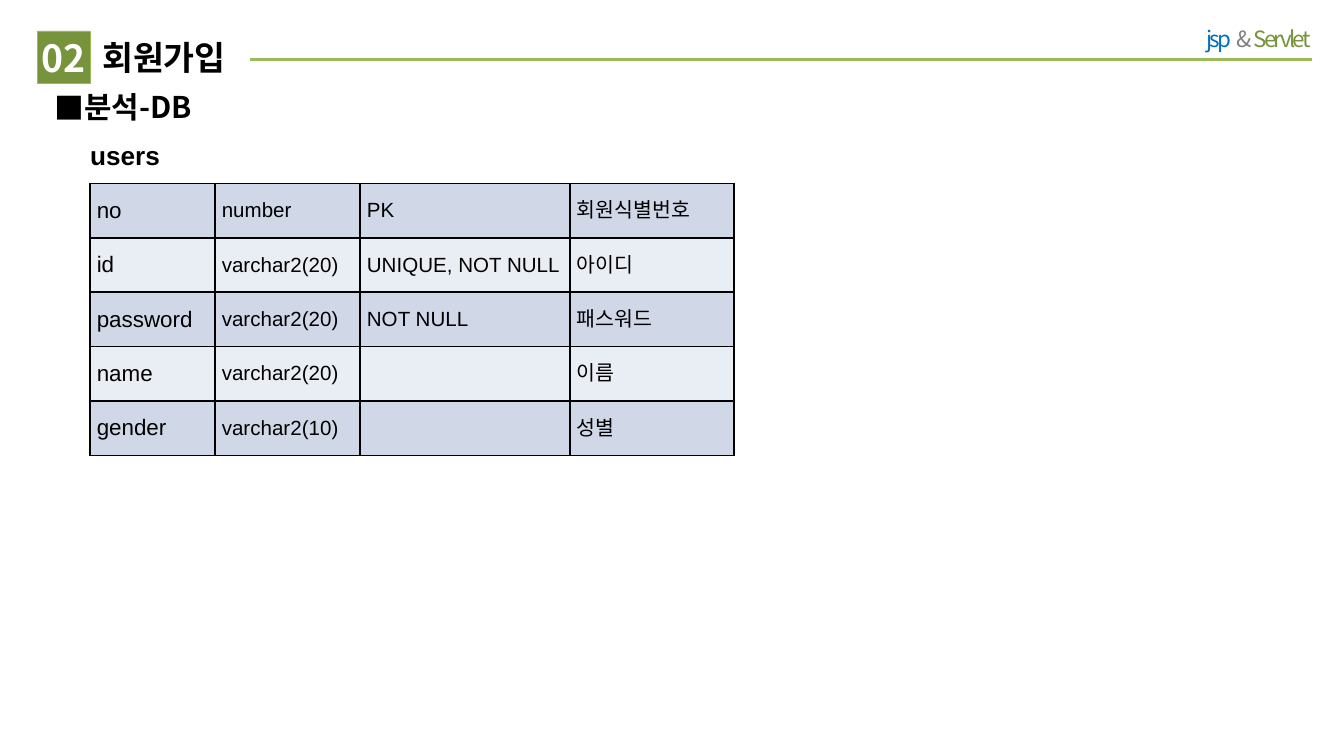
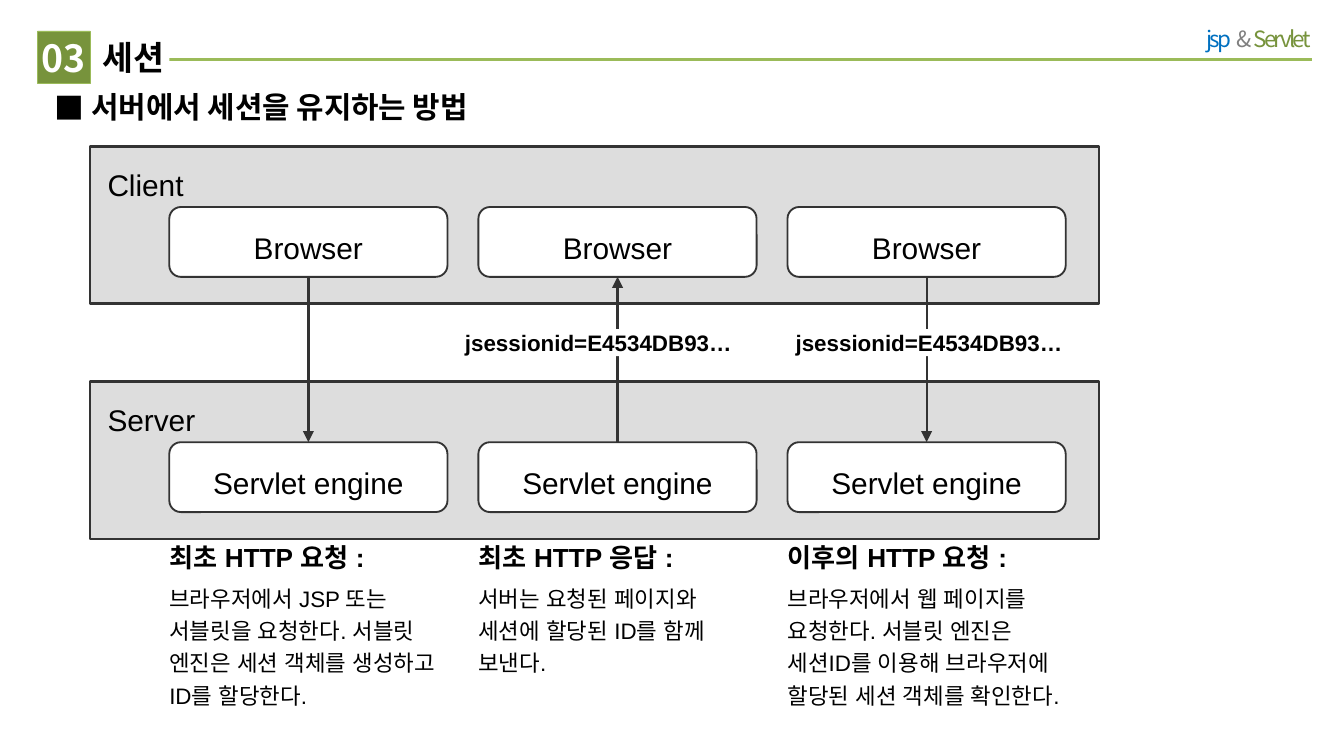
"""Builds two JSP and Servlet lesson slides: the users table and the session flow."""
from lxml import etree
from pptx import Presentation
from pptx.dml.color import RGBColor
from pptx.enum.shapes import MSO_CONNECTOR, MSO_SHAPE
from pptx.enum.text import MSO_ANCHOR, PP_ALIGN
from pptx.oxml.ns import qn
from pptx.util import Pt

PX = 9144
RECT, ROUNDED = MSO_SHAPE.RECTANGLE, MSO_SHAPE.ROUNDED_RECTANGLE
STRAIGHT = MSO_CONNECTOR.STRAIGHT
TOP, MIDDLE = MSO_ANCHOR.TOP, MSO_ANCHOR.MIDDLE
LEFT, CENTER, RIGHT = PP_ALIGN.LEFT, PP_ALIGN.CENTER, PP_ALIGN.RIGHT
ARIAL, NOTO = "Arial", "Noto Sans CJK KR"
COLORS = {
    "black": "000000", "white": "FFFFFF", "gray": "808080", "blue": "0070C0",
    "green": "77933C", "lime": "9BBB59", "panel": "DDDDDD", "ink": "333333",
    "band_dark": "D0D8E8", "band_light": "E9EDF4",
}
RGB = {key: RGBColor.from_string(value) for key, value in COLORS.items()}


def add_run(paragraph, text, size, font=ARIAL, color="black", bold=False):
    """Add text to a paragraph, with a line break at each newline."""
    for i, piece in enumerate(text.split("\n")):
        if i:
            paragraph.add_line_break()
        run = paragraph.add_run()
        run.text = piece
        run.font.size = Pt(size)
        run.font.bold = bold
        run.font.color.rgb = RGB[color]
        run.font.name = font
        etree.SubElement(run.font._element, qn("a:ea"), typeface=font)
    return run


def add_box(slide, at, kind=None, fill=None, line=None, weight=1,
            insets=(0, 0, 0, 0), anchor=TOP, align=LEFT):
    """Add a text box, or a preset shape if a kind is given."""
    place = [v * PX for v in at]
    if kind is None:
        box = slide.shapes.add_textbox(*place)
    else:
        box = slide.shapes.add_shape(kind, *place)
        box.shadow.inherit = False
        box.fill.solid()
        box.fill.fore_color.rgb = RGB[fill]
        if line:
            box.line.color.rgb = RGB[line]
            box.line.width = Pt(weight)
        else:
            box.line.fill.background()
    frame = box.text_frame
    frame.word_wrap = True
    frame.vertical_anchor = anchor
    frame.margin_left, frame.margin_top, frame.margin_right, frame.margin_bottom = [
        v * PX for v in insets]
    frame.paragraphs[0].alignment = align
    return box


prs = Presentation()
prs.slide_width = 1000 * PX
prs.slide_height = prs.slide_width * 9 // 16

headings = [
    ("02", "회원가입", 118, "분석-DB"),
    ("03", "세션", 58, " 서버에서 세션을 유지하는 방법"),
]
slides = []
for number, title, title_width, topic in headings:
    slide = prs.slides.add_slide(prs.slide_layouts[6])
    slides.append(slide)

    rule = slide.shapes.add_connector(STRAIGHT, 976 * PX, 44 * PX, 71 * PX, 44 * PX)
    rule.line.color.rgb = RGB["lime"]
    rule.line.width = Pt(1.5)
    etree.SubElement(rule._element.spPr, qn("a:effectLst"))

    course = add_box(slide, (831, 11, 154, 36), insets=(10, 8, 10, 8), align=RIGHT)
    for text, color, spacing in [("jsp", "blue", -150), (" ", "blue", 0),
                                 ("& ", "gray", -150), ("Servlet", "green", -150)]:
        run = add_run(course.text_frame.paragraphs[0], text, 12, NOTO, color)
        run.font._element.set("spc", str(spacing))

    badge = add_box(slide, (28, 23, 39, 39), RECT, "green", "lime", 0.25,
                    anchor=MIDDLE, align=CENTER)
    add_run(badge.text_frame.paragraphs[0], number, 20, NOTO, "white", True)

    name = add_box(slide, (68, 23, title_width, 39), RECT, "white",
                   insets=(8, 4, 0, 4), anchor=MIDDLE)
    name.text_frame.word_wrap = False
    add_run(name.text_frame.paragraphs[0], title, 18, NOTO, bold=True)

    bullet = add_box(slide, (31, 64, 862, 44), insets=(10, 2, 10, 5)).text_frame.paragraphs[0]
    add_run(bullet, topic, 16, NOTO, bold=True)
    layout = bullet._p.get_or_add_pPr()
    layout.set("marL", str(20 * PX))
    layout.set("indent", str(-20 * PX))
    etree.SubElement(layout, qn("a:buFont"), typeface=NOTO)
    etree.SubElement(layout, qn("a:buChar"), char="■")

users_slide, session_slide = slides

columns = [
    ("users", "", "", ""),
    ("no", "number", "PK", "회원식별번호"),
    ("id", "varchar2(20)", "UNIQUE, NOT NULL", "아이디"),
    ("password", "varchar2(20)", "NOT NULL", "패스워드"),
    ("name", "varchar2(20)", "", "이름"),
    ("gender", "varchar2(10)", "", "성별"),
]
users = users_slide.shapes.add_table(
    len(columns), 4, 67 * PX, 96 * PX, 480 * PX, 243 * PX).table
users.first_row = users.horz_banding = False
for column, width in zip(users.columns, (93, 108, 156, 122)):
    column.width = width * PX
for r, texts in enumerate(columns):
    users.rows[r].height = 243 * PX // len(columns)
    for c, text in enumerate(texts):
        cell = users.cell(r, c)
        cell.vertical_anchor = MIDDLE
        cell.margin_left = cell.margin_right = 5 * PX if r else 0
        cell.margin_top = cell.margin_bottom = 4 * PX if r else 0
        cell.fill.solid()
        band = "band_dark" if r % 2 else "band_light"
        cell.fill.fore_color.rgb = RGB[band if r else "white"]
        for i, side in enumerate(("lnL", "lnR", "lnT", "lnB")):
            edge = etree.Element(qn("a:" + side), w=str(Pt(1)))
            paint = etree.SubElement(edge, qn("a:solidFill"))
            shade = "black" if r or side == "lnB" else "white"
            etree.SubElement(paint, qn("a:srgbClr"), val=COLORS[shade])
            cell._tc.get_or_add_tcPr().insert(i, edge)
        if text:
            size = 14 if r == 0 else 12 if c == 0 else 11
            add_run(cell.text_frame.paragraphs[0], text, size, bold=r == 0)
users.cell(0, 0).merge(users.cell(0, 3))

lanes = [("Client", "Browser", 109), ("Server", "Servlet engine", 284)]
steps = [
    ("최초 HTTP 요청 :", "tailEnd",
     "브라우저에서 JSP 또는 \n서블릿을 요청한다. 서블릿 엔진은 세션 객체를 생성하고 ID를 할당한다."),
    ("최초 HTTP 응답 :", "headEnd",
     "서버는 요청된 페이지와 \n세션에 할당된 ID를 함께 \n보낸다."),
    ("이후의 HTTP 요청 :", "tailEnd",
     "브라우저에서 웹 페이지를 \n요청한다. 서블릿 엔진은 \n세션ID를 이용해 브라우저에 할당된 세션 객체를 확인한다."),
]
step_lefts = [126 + 230 * i for i in range(len(steps))]
nodes = {}
for lane, node_text, top in lanes:
    add_box(session_slide, (67, top, 751, 117), RECT, "panel", "ink", 1.25)
    caption = add_box(session_slide, (80, top + 15, 149, 22))
    add_run(caption.text_frame.paragraphs[0], lane, 16)
    nodes[lane] = []
    for left in step_lefts:
        node = add_box(session_slide, (left, top + 45, 207, 52), ROUNDED, "white", "ink",
                       anchor=MIDDLE, align=CENTER)
        node.text_frame.paragraphs[0].line_spacing = 1.3
        add_run(node.text_frame.paragraphs[0], node_text, 16)
        nodes[lane].append(node)

for left, (step, arrow_end, detail), browser, engine in zip(
        step_lefts, steps, nodes["Client"], nodes["Server"]):
    message = session_slide.shapes.add_connector(STRAIGHT, 0, 0, 0, 0)
    message.begin_connect(browser, 2)
    message.end_connect(engine, 0)
    message.line.color.rgb = RGB["ink"]
    message.line.width = Pt(1.25)
    etree.SubElement(message.line._get_or_add_ln(), qn("a:" + arrow_end), type="triangle")
    etree.SubElement(message._element.spPr, qn("a:effectLst"))

    note = add_box(session_slide, (left, 403, 207, 127)).text_frame
    add_run(note.paragraphs[0], step, 14, bold=True)
    body = note.add_paragraph()
    body.line_spacing = 1.2
    body.space_before = Pt(3.6)
    add_run(body, detail, 12)

for left, width in ((346, 226), (592, 207)):
    cookie = add_box(session_slide, (left, 245, width, 20), RECT, "white")
    add_run(cookie.text_frame.paragraphs[0], "jsessionid=E4534DB93…", 12, bold=True)

prs.save("out.pptx")
